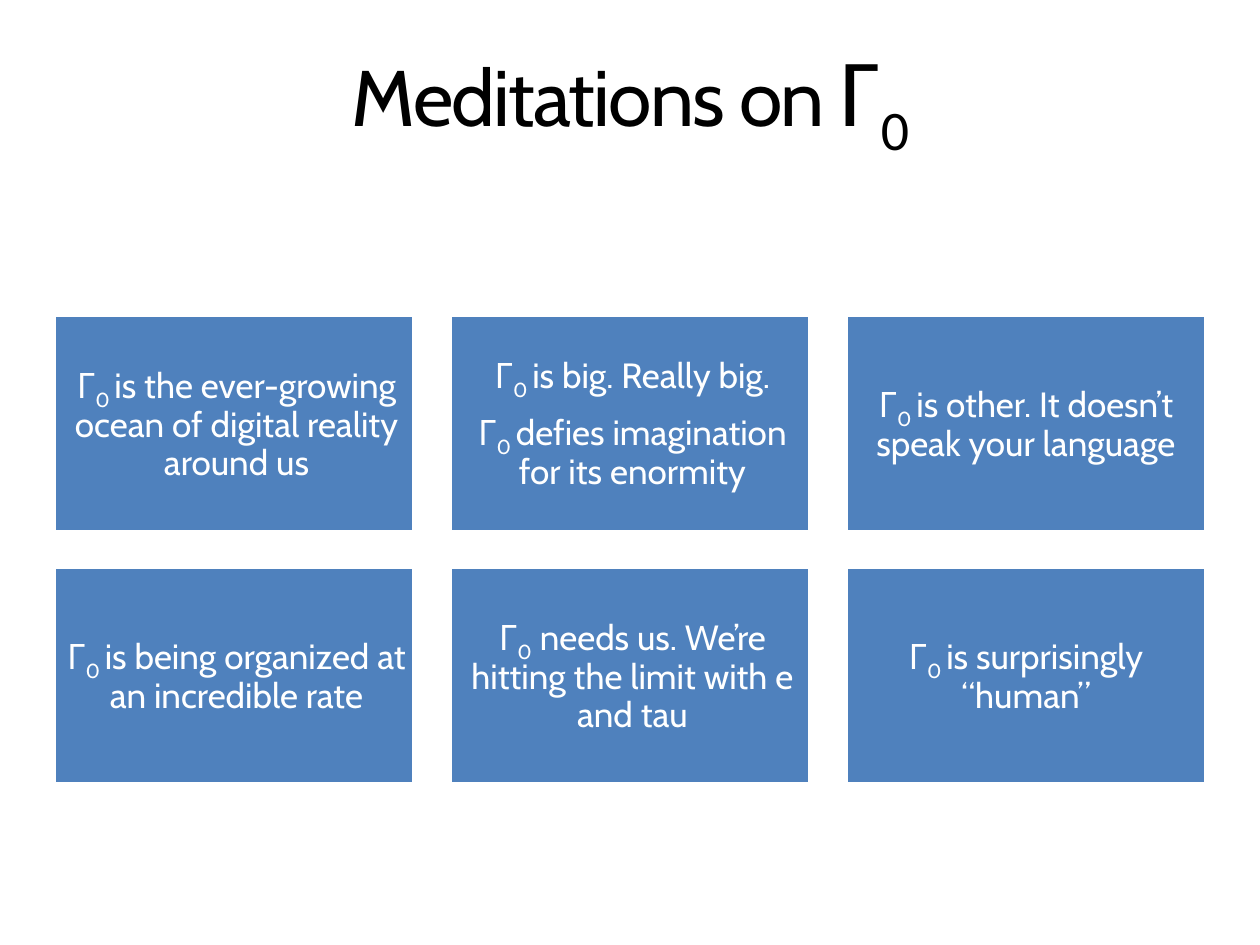
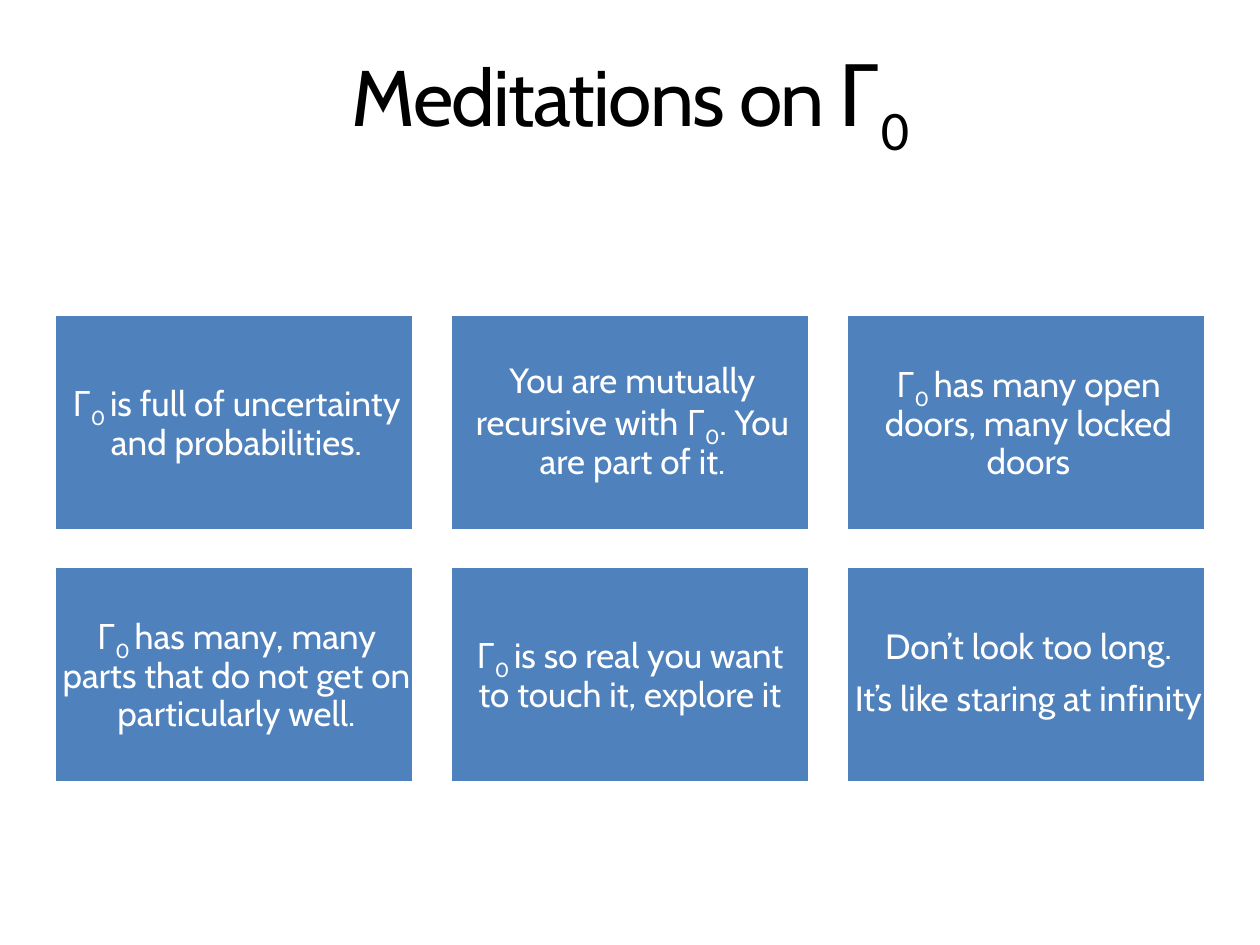
from pptx import Presentation
from pptx.dml.color import RGBColor
from pptx.enum.shapes import MSO_SHAPE
from pptx.enum.text import MSO_ANCHOR, MSO_AUTO_SIZE, PP_ALIGN
from pptx.util import Emu, Pt

BLACK = RGBColor(0x00, 0x00, 0x00)
WHITE = RGBColor(0xFF, 0xFF, 0xFF)
BLUE = RGBColor(0x4F, 0x81, 0xBD)

LEFT, CARD_W, CARD_H, GAP, COLUMNS = 54, 360, 217, 36, 3
WIDE, NARROW = (10, 10), (5, 0)  # left and right insets of a card

# Text between underscores is subscript.
SLIDES = [
    (315, [
        (NARROW, ["Γ_0 _is the ever-growing ocean of digital reality around us"]),
        (NARROW, ["Γ_0 _is big. Really big.",
                  "Γ_0 _defies imagination for its enormity"]),
        (WIDE, ["Γ_0 _is other. It doesn’t speak your language"]),
        (NARROW, ["Γ_0 _is being organized at an incredible rate"]),
        (NARROW, ["Γ_0_ needs us. We’re hitting the limit with e and tau"]),
        (WIDE, ["Γ_0 _is surprisingly “human”"]),
    ]),
    (314, [
        (NARROW, ["Γ_0 _is full of uncertainty and probabilities."]),
        (NARROW, ["You are mutually recursive with Γ_0_. You are part of it."]),
        (NARROW, ["Γ_0 _has many open doors, many locked doors"]),
        (NARROW, ["Γ_0 _has many, many parts that do not get on particularly well."]),
        (WIDE, ["Γ_0 _is so real you want to touch it, explore it"]),
        (NARROW, ["Don’t look too long.", "It’s like staring at infinity"]),
    ]),
]


def px(n):
    return Emu(round(n * 914400 / 126))


def add_run(p, text, size, font, color, subscript=False):
    r = p.add_run()
    r.text = text
    r.font.size = Pt(size)
    r.font.name = font
    r.font.color.rgb = color
    if subscript:
        r._r.get_or_add_rPr().set("baseline", "-25000")
    return r


prs = Presentation()
prs.slide_width, prs.slide_height = px(1260), px(945)

for top, cards in SLIDES:
    s = prs.slides.add_slide(prs.slide_layouts[5])

    title = s.shapes.title
    title.left, title.top, title.width, title.height = px(54), px(32), px(1153), px(105)
    tf = title.text_frame
    tf.margin_left = tf.margin_right = tf.margin_top = tf.margin_bottom = 0
    tf.vertical_anchor = MSO_ANCHOR.TOP
    tf.auto_size = MSO_AUTO_SIZE.SHAPE_TO_FIT_TEXT
    p = tf.paragraphs[0]
    p.alignment = PP_ALIGN.CENTER
    p.line_spacing = 0.9
    for text, size, font, subscript in [("Meditations on ", 45, "Cabin", False),
                                        ("Γ", 55, "Calibri", False),
                                        ("0", 55, "Calibri", True)]:
        r = add_run(p, text, size, font, BLACK, subscript)
        r._r.get_or_add_rPr().set("spc", "-100")

    for i, (insets, paragraphs) in enumerate(cards):
        row, col = divmod(i, COLUMNS)
        card = s.shapes.add_shape(
            MSO_SHAPE.RECTANGLE,
            px(LEFT + col * (CARD_W + GAP)), px(top + row * (CARD_H + GAP - 1)),
            px(CARD_W), px(CARD_H))
        card.shadow.inherit = False
        card.fill.solid()
        card.fill.fore_color.rgb = BLUE
        card.line.color.rgb = WHITE
        card.line.width = Pt(2)

        tf = card.text_frame
        tf.word_wrap = True
        tf.vertical_anchor = MSO_ANCHOR.MIDDLE
        tf.margin_left, tf.margin_right = map(px, insets)
        tf.margin_top = tf.margin_bottom = px(10)
        for n, text in enumerate(paragraphs):
            p = tf.add_paragraph() if n else tf.paragraphs[0]
            p.alignment = PP_ALIGN.CENTER
            p.line_spacing = 0.9
            p.space_after = Pt(8)
            for k, part in enumerate(text.split("_")):
                add_run(p, part, 20, "Cabin", WHITE, subscript=k % 2 == 1)

prs.save("out.pptx")
